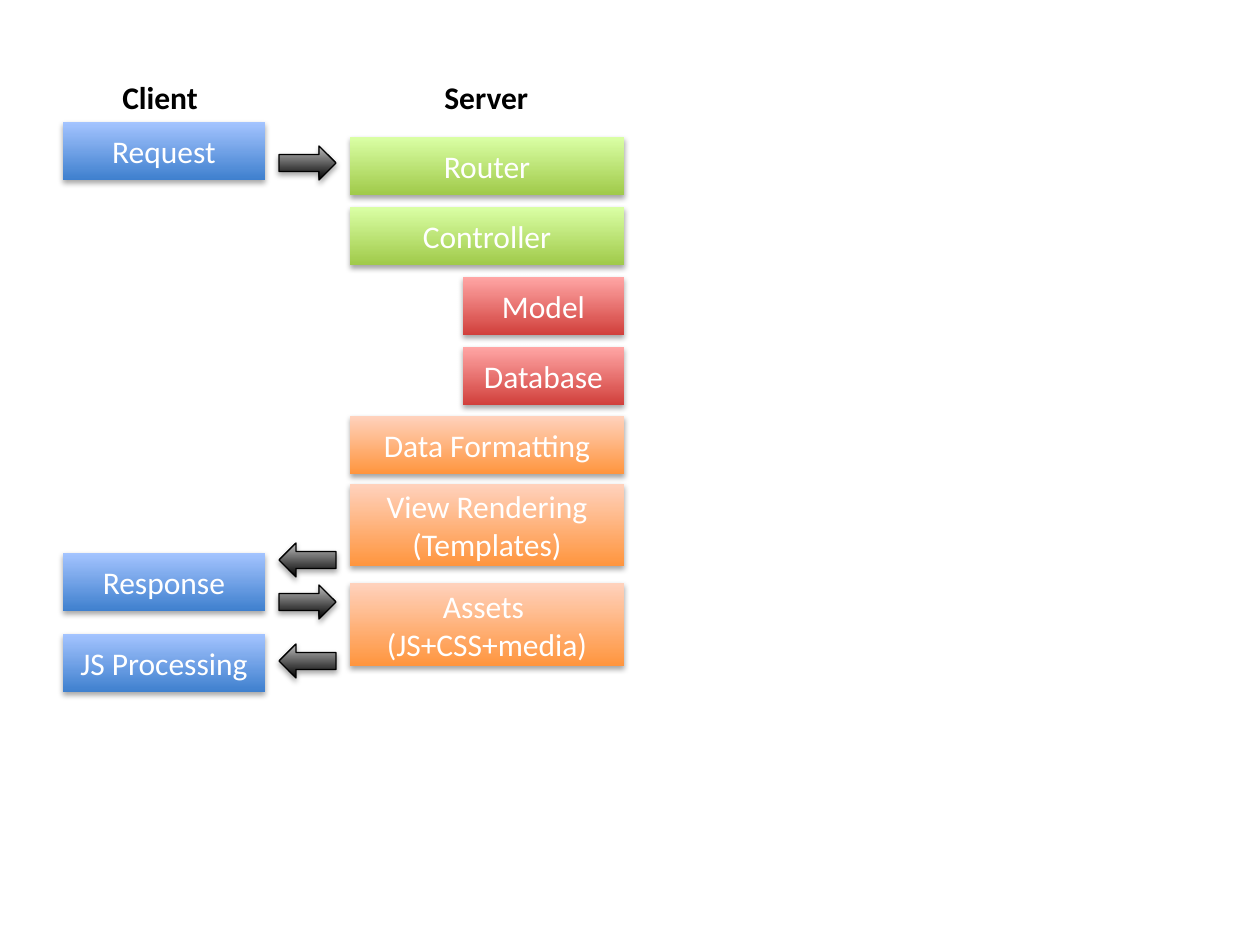
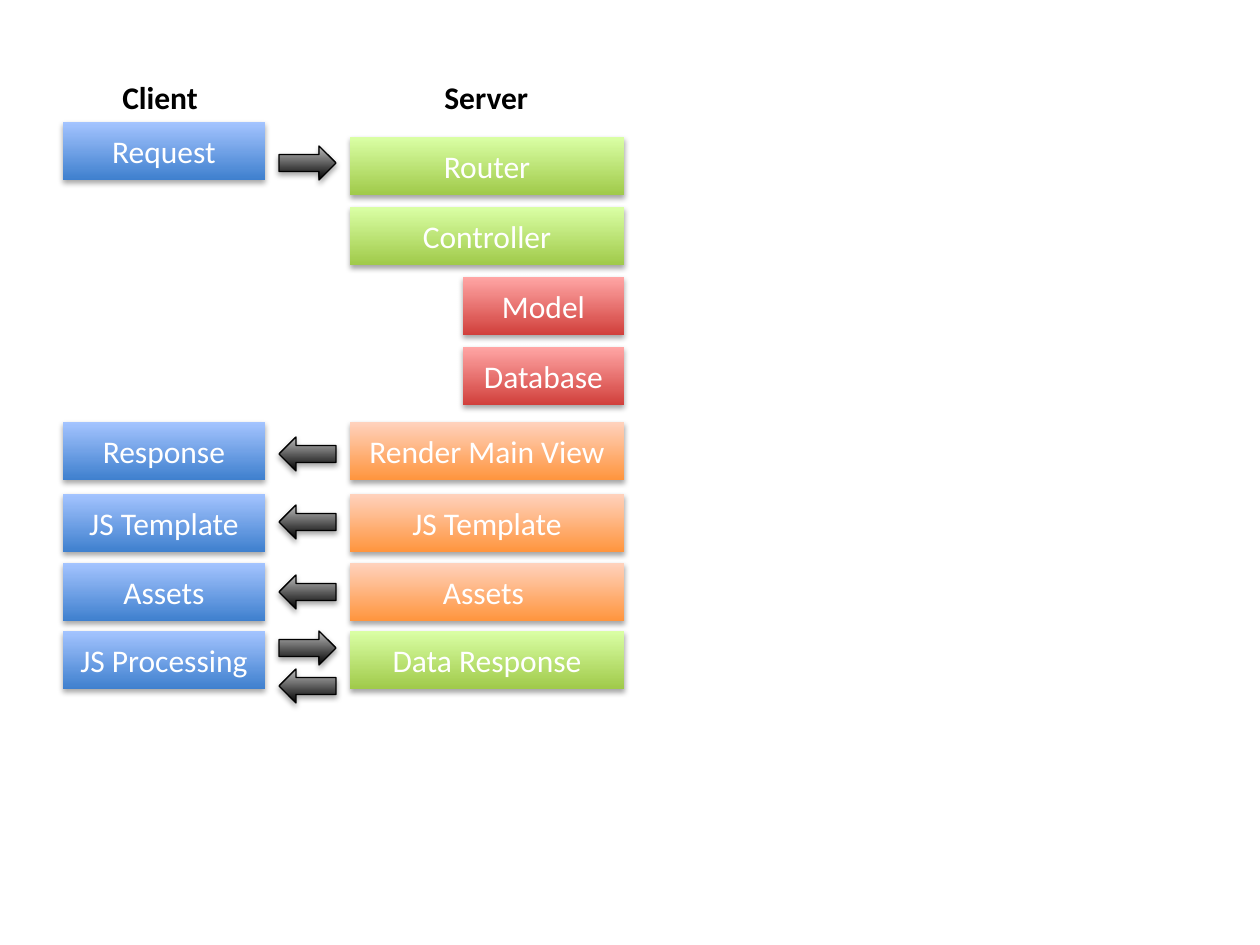
"""Build two slides that show how a request passes between client and server."""
from collections import namedtuple
from dataclasses import dataclass

from lxml import etree
from pptx import Presentation
from pptx import util as u
from pptx.dml.color import RGBColor
from pptx.enum import shapes, text
from pptx.oxml import ns

PX = 914400 / 126
Box = namedtuple("Box", "left top width height")
Step = namedtuple("Step", "label tone top height", defaults=(58,))
Arrow = namedtuple("Arrow", "kind top")

RIGHT = shapes.MSO_SHAPE.RIGHT_ARROW
LEFT = shapes.MSO_SHAPE.LEFT_ARROW


@dataclass(frozen=True)
class Theme:
    """Colours, font and sizes shared by both slides."""
    client: tuple = ("3F80CE", "A4C4FF")
    control: tuple = ("A0CA4A", "DAFFA5")
    data: tuple = ("D1403C", "FFA6A5")
    view: tuple = ("FF953E", "FFD2BD")
    arrow: tuple = ("000000", "BDBDBD")
    ink: str = "000000"
    paper: str = "FFFFFF"
    font: str = "Calibri"
    size: int = 18
    outline: float = 0.75


THEME = Theme()
CLIENT = Box(63, 72, 202, 620)
ARROWS = Box(279, 72, 57, 620)
SERVER = Box(350, 72, 274, 620)
DATA_WIDTH = 161
ARROW_HEIGHT = 34
ROUTE_TOP, ROUTE_PITCH = 65, 70

REQUEST = Step("Request", THEME.client, 50)
ROUTE = [
    Step(label, tone, ROUTE_TOP + index * ROUTE_PITCH)
    for index, (label, tone) in enumerate([
        ("Router", THEME.control), ("Controller", THEME.control),
        ("Model", THEME.data), ("Database", THEME.data)])
]
FLOWS = [
    {
        "client": [Step("Response", THEME.client, 481),
                   Step("JS Processing", THEME.client, 562)],
        "server": [Step("Data Formatting", THEME.view, 344),
                   Step("View Rendering\n(Templates)", THEME.view, 412, 82),
                   Step("Assets \v(JS+CSS+media)", THEME.view, 511, 83)],
        "arrows": [Arrow(LEFT, 471), Arrow(RIGHT, 513), Arrow(LEFT, 572)],
    },
    {
        "client": [Step("Response", THEME.client, 350),
                   Step("JS Template", THEME.client, 422),
                   Step("Assets", THEME.client, 491),
                   Step("JS Processing", THEME.client, 559)],
        "server": [Step("Render Main View", THEME.view, 350),
                   Step("JS Template", THEME.view, 422),
                   Step("Assets ", THEME.view, 491),
                   Step("Data Response", THEME.control, 559)],
        "arrows": [Arrow(LEFT, 365), Arrow(LEFT, 433), Arrow(LEFT, 503),
                   Arrow(RIGHT, 559), Arrow(LEFT, 597)],
    },
]


def emu(box):
    """Turn a box in px into EMU lengths."""
    return [u.Emu(round(length * PX)) for length in box]


def add_run(paragraph, words, color, bold=False):
    """Add one formatted run to a paragraph."""
    run = paragraph.add_run()
    run.text = words
    run.font.name = THEME.font
    run.font.size = u.Pt(THEME.size)
    run.font.bold = bold
    run.font.color.rgb = RGBColor.from_string(color)


def add_shadow(shape):
    """Give a shape a soft shadow straight below it."""
    shape.shadow.inherit = False
    effects = shape._element.spPr.find(ns.qn("a:effectLst"))
    shadow = etree.SubElement(effects, ns.qn("a:outerShdw"), blurRad="40000",
                              dist="23000", dir="5400000", rotWithShape="0")
    color = etree.SubElement(shadow, ns.qn("a:srgbClr"), val=THEME.ink)
    etree.SubElement(color, ns.qn("a:alpha"), val="35000")


def add_glossy_shape(slide, kind, box, tone):
    """Add a shadowed shape that fades from the bottom tone to the top tone."""
    shape = slide.shapes.add_shape(kind, *emu(box))
    shape.fill.gradient()
    shape.fill.gradient_angle = 90
    for stop, color in zip(shape.fill.gradient_stops, tone):
        stop.color.rgb = RGBColor.from_string(color)
    add_shadow(shape)
    return shape


def add_step(slide, column, step):
    """Add a labelled block aligned with the right edge of its column."""
    width = DATA_WIDTH if step.tone == THEME.data else column.width
    box = Box(column.left + column.width - width, column.top + step.top,
              width, step.height)
    shape = add_glossy_shape(slide, shapes.MSO_SHAPE.RECTANGLE, box, step.tone)
    shape.line.fill.background()
    frame = shape.text_frame
    frame.vertical_anchor = text.MSO_ANCHOR.MIDDLE
    for index, line in enumerate(step.label.split("\n")):
        paragraph = frame.add_paragraph() if index else frame.paragraphs[0]
        paragraph.alignment = text.PP_ALIGN.CENTER
        for part_index, part in enumerate(line.split("\v")):
            if part_index:
                paragraph.add_line_break()
            add_run(paragraph, part, THEME.paper)


def add_heading(slide, column, words, offset, width):
    """Add a bold heading at the top of a column."""
    box = Box(column.left + offset, column.top, width, 50)
    frame = slide.shapes.add_textbox(*emu(box)).text_frame
    frame.word_wrap = False
    frame.auto_size = text.MSO_AUTO_SIZE.SHAPE_TO_FIT_TEXT
    add_run(frame.paragraphs[0], words, THEME.ink, bold=True)


def add_column(slide, column, steps):
    """Stack the steps of one side in its column."""
    for step in steps:
        add_step(slide, column, step)


def add_arrows(slide, column, arrows):
    """Place the arrows in the gap between both sides."""
    for arrow in arrows:
        box = Box(column.left, column.top + arrow.top, column.width, ARROW_HEIGHT)
        shape = add_glossy_shape(slide, arrow.kind, box, THEME.arrow)
        shape.line.color.rgb = RGBColor.from_string(THEME.ink)
        shape.line.width = u.Pt(THEME.outline)


def add_flow_slide(presentation, flow):
    """Add one slide with the client, the server and the arrows between."""
    slide = presentation.slides.add_slide(presentation.slide_layouts[6])
    add_column(slide, CLIENT, [REQUEST, *flow["client"]])
    add_column(slide, SERVER, [*ROUTE, *flow["server"]])
    add_arrows(slide, ARROWS, [Arrow(RIGHT, 74), *flow["arrows"]])
    add_heading(slide, CLIENT, "Client", 47, 102)
    add_heading(slide, SERVER, "Server", 82, 111)


def main():
    """Build and save the presentation."""
    presentation = Presentation()
    presentation.slide_width = u.Inches(10)
    presentation.slide_height = u.Inches(7.5)
    for flow in FLOWS:
        add_flow_slide(presentation, flow)
    presentation.save("out.pptx")


if __name__ == "__main__":
    main()
